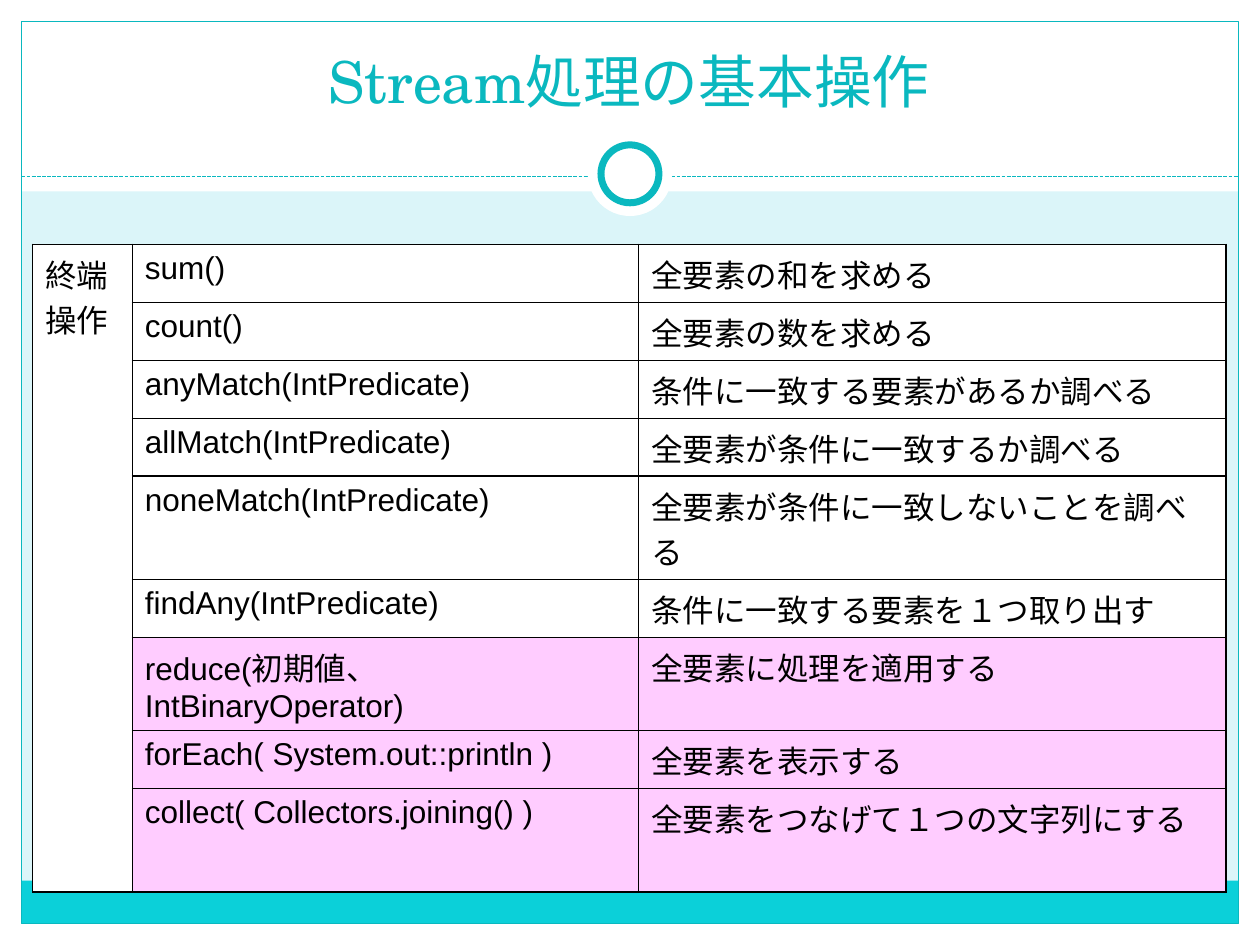
import pptx
import pptx.util
from lxml import etree
from pptx.dml.color import RGBColor
from pptx.enum.dml import MSO_LINE
from pptx.enum.shapes import MSO_CONNECTOR, MSO_SHAPE
from pptx.enum.text import MSO_ANCHOR, PP_ALIGN
from pptx.oxml.ns import qn
from pptx.util import Inches, Pt

WHITE = RGBColor(0xFF, 0xFF, 0xFF)
BLACK = RGBColor(0, 0, 0)
PALE = RGBColor(0xDB, 0xF5, 0xF9)
CYAN = RGBColor(0x0B, 0xD0, 0xD9)
TEAL = RGBColor(0x0A, 0xB8, 0xBF)
PINK = RGBColor(0xFF, 0xCC, 0xFF)

TITLE = "Stream処理の基本操作"
CATEGORY = "終端操作"
# Operation, meaning, row height, fill
OPERATIONS = [
    ("sum()", "全要素の和を求める", 0.46, WHITE),
    ("count()", "全要素の数を求める", 0.46, WHITE),
    ("anyMatch(IntPredicate)", "条件に一致する要素があるか調べる", 0.46, WHITE),
    ("allMatch(IntPredicate)", "全要素が条件に一致するか調べる", 0.46, WHITE),
    ("noneMatch(IntPredicate)", "全要素が条件に一致しないことを調べる", 0.82, WHITE),
    ("findAny(IntPredicate)", "条件に一致する要素を１つ取り出す", 0.46, WHITE),
    ("reduce(初期値、IntBinaryOperator)", "全要素に処理を適用する", 0.74, PINK),
    ("forEach( System.out::println )", "全要素を表示する", 0.46, PINK),
    ("collect( Collectors.joining() )", "全要素をつなげて１つの文字列にする", 0.82, PINK),
]
COLUMNS = [0.79, 4.02, 4.66]
WIDTH, HEIGHT, MARGIN = 10, 7.5, 0.17
BANDS = [
    (0, HEIGHT - MARGIN, WIDTH, MARGIN, WHITE),
    (0, 0, WIDTH, 1.52, WHITE),
    (0, 0, MARGIN, HEIGHT, WHITE),
    (WIDTH - MARGIN, 0, MARGIN, HEIGHT, WHITE),
    (MARGIN, 6.99, WIDTH - 2 * MARGIN, 0.34, CYAN),
]


def add_preset(page, kind, left, top, width, height, fill=None, line=None, weight=0.75):
    shape = page.shapes.add_shape(
        kind, Inches(left), Inches(top), Inches(width), Inches(height))
    shape.shadow.inherit = False
    if fill is None:
        shape.fill.background()
    else:
        shape.fill.solid()
        shape.fill.fore_color.rgb = fill
    if line is None:
        shape.line.fill.background()
    else:
        shape.line.color.rgb = line
        shape.line.width = Pt(weight)


def add_frame(page):
    """Draw the margins, border, dashed divider and ring."""
    for left, top, width, height, color in BANDS:
        add_preset(page, MSO_SHAPE.RECTANGLE, left, top, width, height, color)
    add_preset(page, MSO_SHAPE.RECTANGLE, MARGIN, MARGIN,
               WIDTH - 2 * MARGIN, HEIGHT - 2 * MARGIN, line=TEAL)

    divider = page.shapes.add_connector(
        MSO_CONNECTOR.STRAIGHT, Inches(MARGIN), Inches(1.4),
        Inches(WIDTH - MARGIN), Inches(1.4))
    divider.line.color.rgb = TEAL
    divider.line.width = Pt(0.75)
    divider.line.dash_style = MSO_LINE.SQUARE_DOT
    etree.SubElement(divider._element.spPr, qn("a:effectLst"))

    for size, line in ((0.67, None), (0.46, TEAL)):
        add_preset(page, MSO_SHAPE.OVAL, (WIDTH - size) / 2, 1.38 - size / 2,
                   size, size, WHITE, line, 4)


def add_title(page):
    box = page.shapes.add_textbox(Inches(0.33), Inches(0.13), Inches(9.33), Inches(0.83))
    box.text_frame.word_wrap = True
    box.text_frame.vertical_anchor = MSO_ANCHOR.BOTTOM
    para = box.text_frame.paragraphs[0]
    para.text = TITLE
    para.alignment = PP_ALIGN.CENTER
    para.font.size = Pt(33)
    para.font.name = "TeX Gyre Schola"
    para.font.color.rgb = TEAL


def style_cell(cell, fill):
    """Give a cell its fill, black borders and text font."""
    properties = cell._tc.get_or_add_tcPr()
    for side in ("lnL", "lnR", "lnT", "lnB"):
        border = etree.SubElement(properties, qn("a:" + side), w=str(Pt(1)))
        solid = etree.SubElement(border, qn("a:solidFill"))
        etree.SubElement(solid, qn("a:srgbClr"), val=str(BLACK))
    cell.fill.solid()
    cell.fill.fore_color.rgb = fill
    font = cell.text_frame.paragraphs[0].font
    font.size = Pt(18)
    font.name = "Arial"
    font.color.rgb = BLACK


def add_operations(page):
    heights = [height for _, _, height, _ in OPERATIONS]
    table = page.shapes.add_table(
        len(OPERATIONS), len(COLUMNS), Inches(0.26), Inches(1.94),
        Inches(sum(COLUMNS)), Inches(sum(heights))).table
    table.first_row = table.horz_banding = False
    for column, width in zip(table.columns, COLUMNS):
        column.width = Inches(width)
    for index, (operation, meaning, height, fill) in enumerate(OPERATIONS):
        table.rows[index].height = Inches(height)
        table.cell(index, 1).text = operation
        table.cell(index, 2).text = meaning
        for column, color in enumerate((WHITE, fill, fill)):
            style_cell(table.cell(index, column), color)
    category = table.cell(0, 0)
    category.merge(table.cell(len(OPERATIONS) - 1, 0))
    category.text_frame.paragraphs[0].text = CATEGORY


def main():
    deck = pptx.Presentation()
    deck.slide_width, deck.slide_height = Inches(WIDTH), Inches(HEIGHT)
    page = deck.slides.add_slide(deck.slide_layouts[6])
    page.background.fill.solid()
    page.background.fill.fore_color.rgb = PALE
    add_frame(page)
    add_title(page)
    add_operations(page)
    deck.save("out.pptx")


if __name__ == "__main__":
    main()
